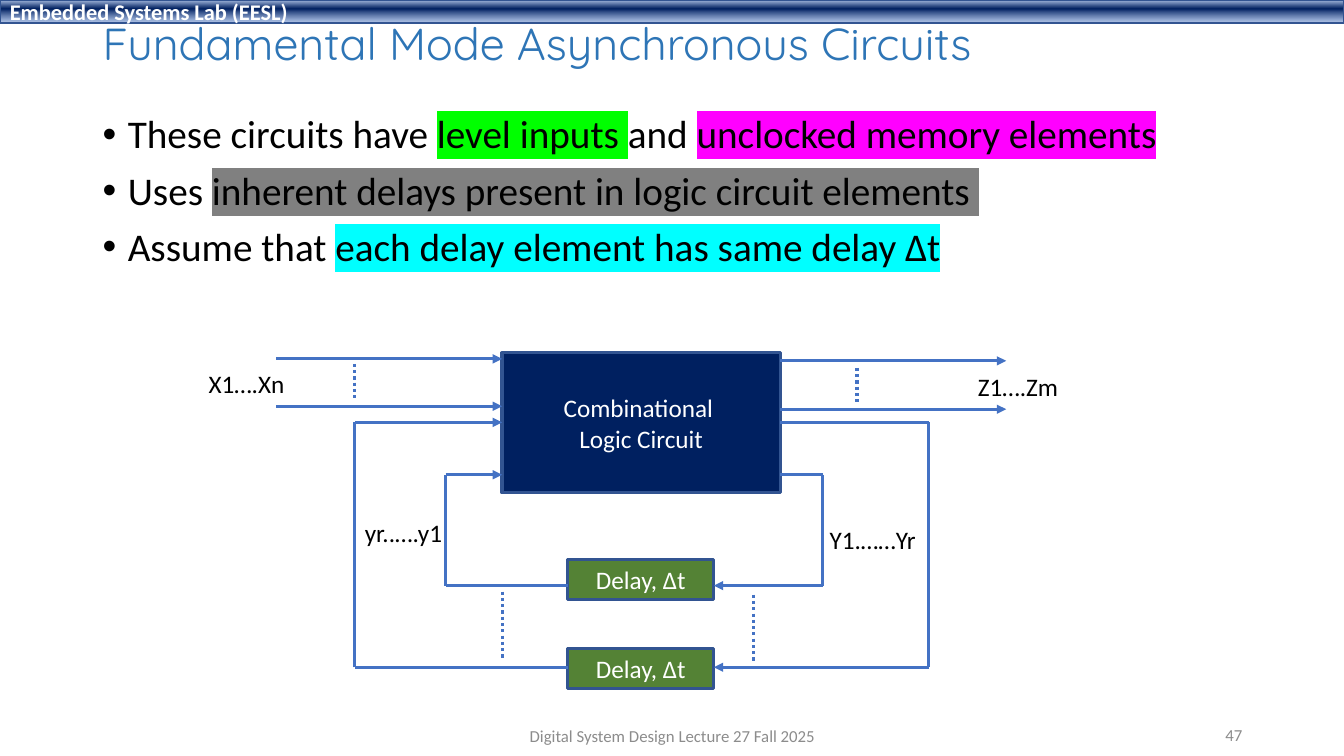
from dataclasses import dataclass

from lxml import etree
from pptx import Presentation
from pptx import util as u
from pptx.dml.color import RGBColor
from pptx.enum import dml, shapes, text
from pptx.oxml.ns import qn

CELL = 0.1  # grid cell in inches
FONT = "Calibri"
NAVY, EDGE, GREEN, WIRE = "002060", "325491", "548235", "4472C4"
BLACK, WHITE, GREY, TITLE_BLUE = "000000", "FFFFFF", "8C8C8C", "2E75B6"

BULLETS = [
    [("These circuits have ", None), ("level inputs ", "00FF00"), ("and ", None),
     ("unclocked memory elements", "FF00FF")],
    [("Uses ", None),
     ("inherent delays present in logic circuit elements ", "808080")],
    [("Assume that ", None), ("each delay element has same delay Δt", "00FFFF")],
]


@dataclass
class Box:
    """A region measured in grid cells of the slide."""
    col: float
    row: float
    cols: float
    rows: float

    @property
    def right(self):
        return self.col + self.cols

    def inner(self, col, row, cols, rows):
        return Box(self.col + col, self.row + row, cols, rows)

    def frame(self):
        return [u.Inches(n * CELL) for n in (self.col, self.row, self.cols, self.rows)]


def colour(value):
    return RGBColor.from_string(value)


def add_xml(parent, tag, **attributes):
    return etree.SubElement(parent, qn(tag), attributes)


def style_para(para, size, value, font=FONT, align=text.PP_ALIGN.LEFT, bold=False):
    para.alignment = align
    para.font.size, para.font.name, para.font.bold = u.Pt(size), font, bold
    para.font.color.rgb = colour(value)


def write(shape, words, size, value, anchor=text.MSO_ANCHOR.MIDDLE, wrap=True, **style):
    frame = shape.text_frame
    frame.word_wrap, frame.vertical_anchor = wrap, anchor
    frame.text = words
    for para in frame.paragraphs:
        style_para(para, size, value, **style)
    return frame


def add_text(page, box, words, size, value, **style):
    return write(page.shapes.add_textbox(*box.frame()), words, size, value, **style)


def add_block(page, box, fill, width, words, size, **style):
    block = page.shapes.add_shape(shapes.MSO_SHAPE.RECTANGLE, *box.frame())
    block.shadow.inherit = False
    block.fill.solid()
    block.fill.fore_color.rgb = colour(fill)
    block.line.color.rgb = colour(EDGE)
    block.line.width = u.Pt(width)
    write(block, words, size, WHITE, **style)
    return block


def add_wire(page, points, arrow=False, dotted=False):
    """Join the points with straight lines; the arrowhead sits on the last one."""
    for start, end in zip(points, points[1:]):
        ends = [u.Inches(n * CELL) for n in (*start, *end)]
        wire = page.shapes.add_connector(shapes.MSO_CONNECTOR.STRAIGHT, *ends)
        wire.line.color.rgb = colour(WIRE)
        wire.line.width = u.Pt(2.25)
        if dotted:
            wire.line.dash_style = dml.MSO_LINE.ROUND_DOT
        if arrow and end == points[-1]:
            add_xml(wire.line._get_or_add_ln(), "a:tailEnd", type="triangle")
        add_xml(wire._element.spPr, "a:effectLst")


def add_header(page, box):
    band = add_block(page, box, NAVY, 1, "Embedded Systems Lab (EESL)", 16, bold=True)
    band.fill.gradient()
    band.fill.gradient_angle = 270
    stops = band._element.spPr.find(qn("a:gradFill")).find(qn("a:gsLst"))
    for stop in list(stops):
        stops.remove(stop)
    for share, value, alpha in ((2, "ABC0E4", 100), (38, NAVY, 100), (93, "7E9ED6", 64)):
        stop = add_xml(stops, "a:gs", pos=str(share * 1000))
        tint = add_xml(stop, "a:srgbClr", val=value)
        add_xml(tint, "a:alpha", val=str(alpha * 1000))


def add_title(page, box):
    frame = add_text(page, box, "Fundamental Mode Asynchronous Circuits", 32,
                     TITLE_BLUE, font="Quicksand")
    frame.paragraphs[0].line_spacing = 0.9


def add_bullets(page, box):
    frame = page.shapes.add_textbox(*box.frame()).text_frame
    frame.word_wrap = True
    for index, pieces in enumerate(BULLETS):
        para = frame.add_paragraph() if index else frame.paragraphs[0]
        para.line_spacing, para.space_before = 0.9, u.Pt(10)
        props = para._p.get_or_add_pPr()
        props.set("marL", str(u.Inches(0.25)))
        props.set("indent", str(u.Inches(-0.25)))
        add_xml(props, "a:buFont", typeface="Arial")
        add_xml(props, "a:buChar", char="•")
        style_para(para, 28, BLACK)
        for words, marker in pieces:
            span = para.add_run()
            span.text = words
            if marker:
                highlight = add_xml(span._r.get_or_add_rPr(), "a:highlight")
                add_xml(highlight, "a:srgbClr", val=marker)


def add_circuit(page, box):
    def at(col, row):
        return box.col + col, box.row + row

    # Logic block and delay elements
    core = box.inner(30.8, 0, 27.6, 13.9)
    delays = [box.inner(37.3, row, 14.5, 4) for row in (20.5, 29.3)]
    centre = text.PP_ALIGN.CENTER
    add_block(page, core, NAVY, 2.25, "Combinational \nLogic Circuit", 18, align=centre)
    for delay in delays:
        add_block(page, delay, GREEN, 2.25, "Delay, Δt", 18, align=centre)

    # Inputs and outputs
    for row in (0.6, 5.3):
        add_wire(page, [at(8.4, row), (core.col, box.row + row)], arrow=True)
    for row in (0.8, 5.6):
        add_wire(page, [(core.right, box.row + row), at(80.8, row)], arrow=True)

    # Feedback loops: port row, delay row, left column, right column
    loops = ((12.1, 23.1, 25.2, 62.6), (6.9, 31.2, 16.2, 73.1))
    for delay, (port, back, left, right) in zip(delays, loops):
        port_row, back_row = box.row + port, box.row + back
        add_wire(page, [(core.right, port_row), at(right, port), at(right, back),
                        (delay.right, back_row)], arrow=True)
        add_wire(page, [(delay.col, back_row), at(left, back), at(left, port),
                        (core.col, port_row)], arrow=True)

    # Dotted continuation marks
    for col, row, rows in ((16.2, 1.1, 3.4), (66, 1.5, 3.4),
                           (30.8, 23.7, 6.6), (55.7, 24, 6.6)):
        add_wire(page, [at(col, row), at(col, row + rows)], dotted=True)

    # Signal names
    for words, col, row, cols in (("X1….Xn", 0.7, 1.1, 9.6), ("Z1….Zm", 77, 1.3, 10),
                                  ("yr..….y1", 16.2, 15.8, 9.7),
                                  ("Y1.……Yr", 62.3, 16.5, 10.6)):
        add_text(page, box.inner(col, row, cols, 4), words, 18, BLACK,
                 anchor=text.MSO_ANCHOR.TOP, wrap=False)


def add_footer(page, box):
    add_text(page, box.inner(35, 0.1, 45, 4), "Digital System Design Lecture 27 Fall 2025",
             12, GREY, align=text.PP_ALIGN.CENTER)
    add_text(page, box.inner(85, 0, 30, 4), "47", 12, GREY, align=text.PP_ALIGN.RIGHT)


def main():
    deck = Presentation()
    deck.slide_width, deck.slide_height = u.Inches(13.33), u.Inches(7.5)
    page = deck.slides.add_slide(deck.slide_layouts[6])
    add_header(page, Box(0, 0, 133.3, 2.3))
    add_title(page, Box(9.2, 0, 115, 9.1))
    add_bullets(page, Box(9.2, 10.9, 115, 21.5))
    add_circuit(page, Box(19, 35, 87, 33.5))
    add_footer(page, Box(9.2, 70.9, 115, 4))
    deck.save("out.pptx")


if __name__ == "__main__":
    main()
